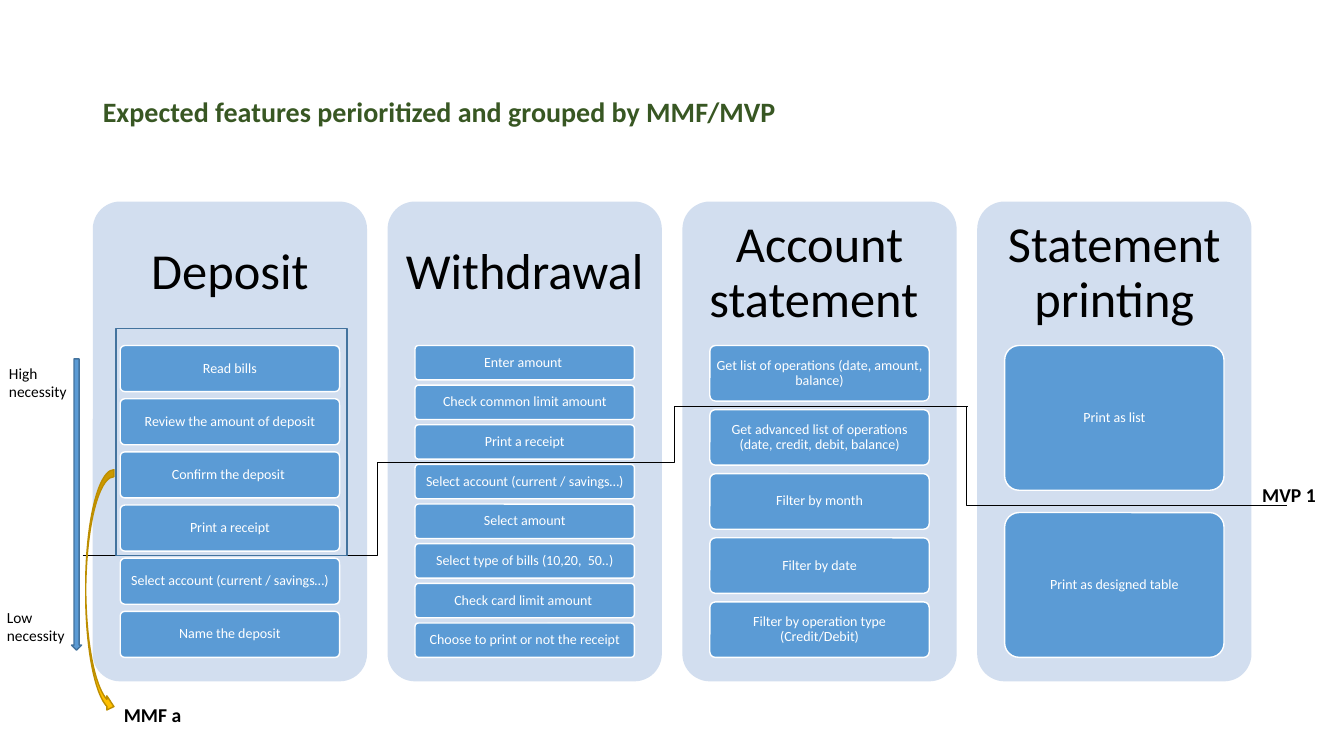
"""Build a slide of bank features ranked by need and grouped by MMF and MVP."""
from lxml.etree import SubElement
from pptx import Presentation
from pptx.dml.color import RGBColor
from pptx.enum.shapes import MSO_CONNECTOR, MSO_SHAPE
from pptx.enum.text import MSO_ANCHOR, MSO_AUTO_SIZE, PP_ALIGN
from pptx.oxml.ns import qn
from pptx.util import Inches, Pt

GREEN = RGBColor(0x38, 0x57, 0x23)
PALE = RGBColor(0xD2, 0xDE, 0xEF)
BLUE = RGBColor(0x5B, 0x9B, 0xD5)
NAVY = RGBColor(0x43, 0x73, 0x9E)
GOLD = RGBColor(0xFF, 0xC0, 0x00)
BROWN = RGBColor(0xBD, 0x8E, 0x00)
BLACK = RGBColor(0, 0, 0)
WHITE = RGBColor(0xFF, 0xFF, 0xFF)

LEFT, TOP, WIDE, HIGH = 0.92, 2, 2.72, 4.76
PITCH = 2.924
HEAD = 0.3 * HIGH
STACK = 0.65 * HIGH
INSET = 0.1 * WIDE
GAP = 0.154

COLUMNS = [
    ("Deposit", ["Read bills", "Review the amount of deposit", "Confirm the deposit ",
                 "Print a receipt", "Select account (current / savings…)",
                 "Name the deposit"]),
    ("Withdrawal", ["Enter amount ", "Check common limit amount", "Print a receipt",
                    "Select account (current / savings…)", "Select amount",
                    "Select type of bills (10,20,  50..)", "Check card limit amount ",
                    "Choose to print or not the receipt"]),
    ("Account statement ", ["Get list of operations (date, amount, balance)",
                            "Get advanced list of operations (date, credit, debit, balance)",
                            "Filter by month", "Filter by date",
                            "Filter by operation type (Credit/Debit)"]),
    ("Statement printing", ["Print as list", "Print as designed table"]),
]

deck = Presentation()
deck.slide_width, deck.slide_height = Inches(13.33), Inches(7.5)
slide = deck.slides.add_slide(deck.slide_layouts[5])
shapes = slide.shapes


def block(kind, place, fill, line):
    shape = shapes.add_shape(kind, *map(Inches, place))
    shape.shadow.inherit = False
    if fill is None:
        shape.fill.background()
    else:
        shape.fill.solid()
        shape.fill.fore_color.rgb = fill
    if line is None:
        shape.line.fill.background()
    else:
        shape.line.color.rgb = line
        shape.line.width = Pt(1)
    return shape


def write(shape, lines, size, color, bold=False, align=PP_ALIGN.LEFT, space=None, inset=None):
    frame = shape.text_frame
    if inset:
        frame.margin_left = frame.margin_right = Inches(inset[0])
        frame.margin_top = frame.margin_bottom = Inches(inset[1])
    for i, line in enumerate(lines):
        para = frame.add_paragraph() if i else frame.paragraphs[0]
        para.alignment, para.line_spacing = align, space
        run = para.add_run()
        run.text = line
        run.font.name, run.font.size, run.font.bold = "Calibri", Pt(size), bold
        run.font.color.rgb = color
    return frame


title = shapes.title
title.left, title.top = Inches(LEFT), Inches(0.4)
title.width, title.height = Inches(11.5), Inches(1.45)
frame = write(title, ["Expected features\u00a0perioritized and grouped by MMF/MVP"],
              20, GREEN, True, space=0.9)
frame.vertical_anchor = MSO_ANCHOR.MIDDLE

for col, (name, items) in enumerate(COLUMNS):
    left = LEFT + col * PITCH
    panel = block(MSO_SHAPE.ROUNDED_RECTANGLE, (left, TOP, WIDE, HIGH), PALE, None)
    panel.adjustments[0] = 0.1
    label = shapes.add_textbox(*map(Inches, (left, TOP, WIDE, HEAD)))
    frame = write(label, [name], 36, BLACK, align=PP_ALIGN.CENTER, space=0.9,
                  inset=(0.15, 0.15))
    frame.word_wrap, frame.vertical_anchor = True, MSO_ANCHOR.MIDDLE

    tall = STACK / (len(items) + GAP * (len(items) - 1))
    for row, item in enumerate(items):
        top = TOP + HEAD + row * tall * (1 + GAP)
        card = block(MSO_SHAPE.ROUNDED_RECTANGLE,
                     (left + INSET, top, WIDE - 2 * INSET, tall), BLUE, WHITE)
        card.adjustments[0] = 0.1
        frame = write(card, [item], 10, WHITE, align=PP_ALIGN.CENTER, space=0.9,
                      inset=(0.03, 0.02))
        frame.word_wrap, frame.vertical_anchor = True, MSO_ANCHOR.MIDDLE

block(MSO_SHAPE.DOWN_ARROW, (0.71, 3.56, 0.1, 2.89), BLUE, NAVY)

STEPS = [
    ((0.82, 5.51, 6.67, 4.59), 50000),
    ((6.2, 4.59, 9.59, 4.03), 14400),
    ((9.6, 4.03, 12.77, 5.01), -400),
]
for ends, bend in STEPS:
    step = shapes.add_connector(MSO_CONNECTOR.ELBOW, *map(Inches, ends))
    step.line.color.rgb = BLACK
    step.line.width = Pt(0.5)
    props = step._element.spPr
    guide = SubElement(props.find(qn("a:prstGeom")).find(qn("a:avLst")), qn("a:gd"))
    guide.set("name", "adj1")
    guide.set("fmla", f"val {bend}")
    SubElement(props, qn("a:effectLst"))

block(MSO_SHAPE.RECTANGLE, (1.15, 3.26, 2.29, 2.25), None, NAVY)
block(MSO_SHAPE.CURVED_RIGHT_ARROW, (0.85, 4.66, 0.28, 2.42), GOLD, BROWN)

NOTES = [
    (["High", "necessity"], (-0.01, 3.56, 0.78, 0.47), 11, False),
    (["Low", "necessity"], (-0.03, 5.98, 0.78, 0.47), 11, False),
    (["MVP 1"], (12.42, 4.74, 0.74, 0.34), 14, True),
    (["MMF a"], (1.13, 6.92, 0.78, 0.34), 14, True),
]
for lines, place, size, bold in NOTES:
    note = shapes.add_textbox(*map(Inches, place))
    frame = write(note, lines, size, BLACK, bold)
    frame.word_wrap, frame.auto_size = False, MSO_AUTO_SIZE.SHAPE_TO_FIT_TEXT

deck.save("out.pptx")
